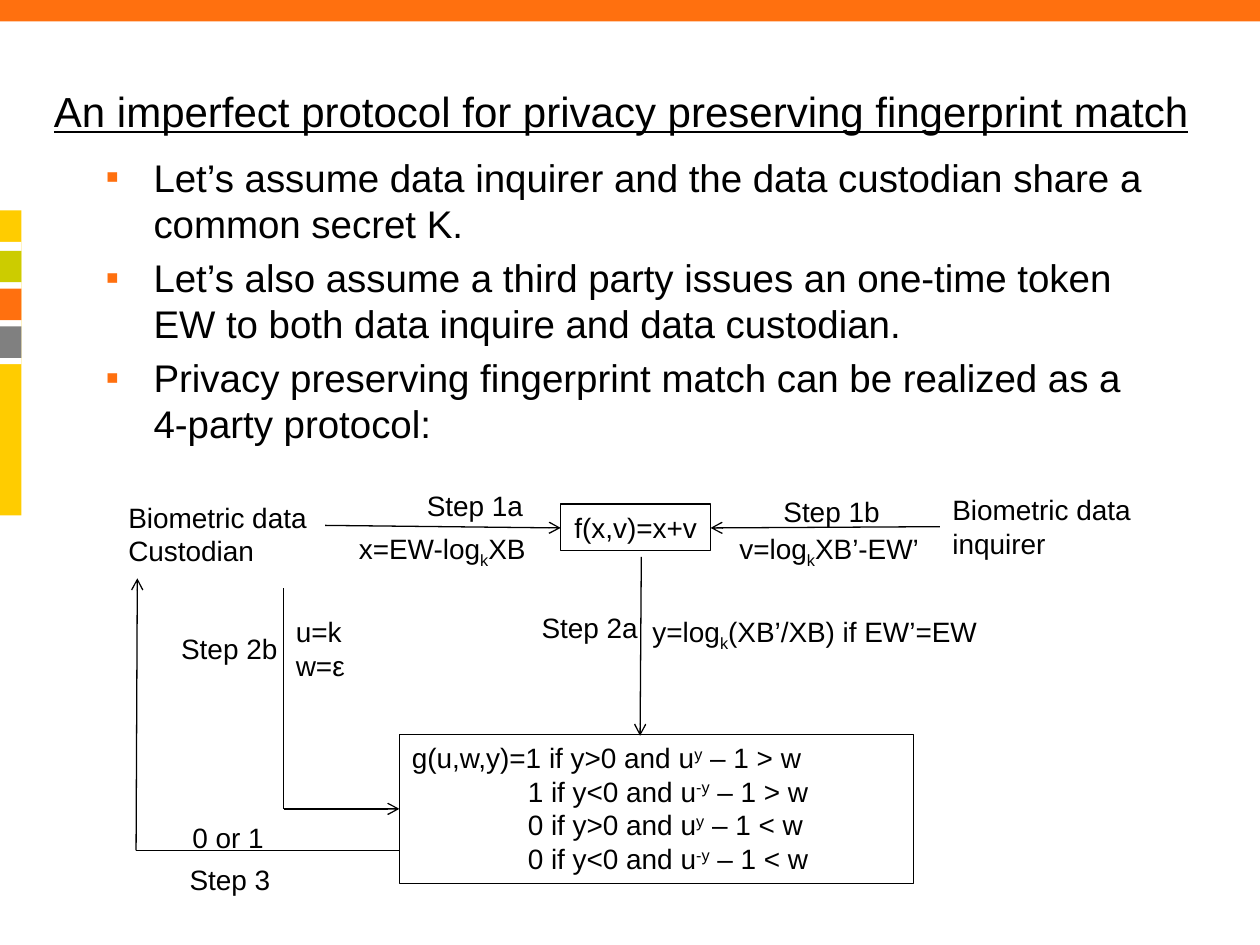
from lxml import etree
from pptx import Presentation
from pptx.dml.color import RGBColor
from pptx.enum.shapes import MSO_CONNECTOR, MSO_SHAPE
from pptx.enum.text import MSO_ANCHOR, PP_ALIGN
from pptx.oxml.ns import qn
from pptx.util import Pt

PX = 9144
RECT = MSO_SHAPE.RECTANGLE
STRAIGHT = MSO_CONNECTOR.STRAIGHT
TOP, MIDDLE = MSO_ANCHOR.TOP, MSO_ANCHOR.MIDDLE
LEFT, CENTER = PP_ALIGN.LEFT, PP_ALIGN.CENTER
COLORS = {"black": "000000", "white": "FFFFFF", "yellow": "FFCC00",
          "orange": "FF700F", "lime": "CCCC00", "gray": "808080"}
BASELINES = {"^": "30000", "_": "-25000"}


def rgb(name):
    return RGBColor.from_string(COLORS[name])


def write(tf, text, size=16, align=LEFT, anchor=TOP, wrap=True, underline=None,
          bullet=None, before=0, spacing=None, hang=0, indent=0):
    """Fill a frame; lines are paragraphs, and |^x| or |_x| raises or lowers x."""
    tf.word_wrap, tf.vertical_anchor = wrap, anchor
    for i, line in enumerate(text.split("\n")):
        p = tf.add_paragraph() if i else tf.paragraphs[0]
        p.alignment, p.space_before, p.line_spacing = align, Pt(before), spacing
        pPr = p._p.get_or_add_pPr()
        if bullet:
            pPr.set("marL", str(hang * PX))
            pPr.set("indent", str(-hang * PX))
            clr = etree.SubElement(pPr, qn("a:buClr"))
            etree.SubElement(clr, qn("a:srgbClr"), val=COLORS["orange"])
            etree.SubElement(pPr, qn("a:buFont"), typeface="Arial")
            etree.SubElement(pPr, qn("a:buChar"), char=bullet)
        elif i and indent:
            pPr.set("marL", str(indent * PX))
        for part in line.split("|"):
            r = p.add_run()
            r.text = part.lstrip("^_")
            r.font.name, r.font.size = "Arial", Pt(size)
            r.font.underline = underline
            r.font.color.rgb = rgb("black")
            if part[0] in BASELINES:
                r._r.get_or_add_rPr().set("baseline", BASELINES[part[0]])


class Slide:
    """Draws elements in one style on the current slide, in px."""

    def __init__(self, s):
        self.s = s

    def box(self, x, y, w, h, fill=None, line=None, text=None, **fmt):
        sp = self.s.shapes.add_shape(RECT, x * PX, y * PX, w * PX, h * PX)
        sp.shadow.inherit = False
        if fill:
            sp.fill.solid()
            sp.fill.fore_color.rgb = rgb(fill)
        else:
            sp.fill.background()
        if line:
            sp.line.color.rgb, sp.line.width = rgb(line), Pt(0.75)
        else:
            sp.line.fill.background()
        if text:
            write(sp.text_frame, text, **fmt)

    def text(self, x, y, w, h, text, **fmt):
        sp = self.s.shapes.add_textbox(x * PX, y * PX, w * PX, h * PX)
        write(sp.text_frame, text, **fmt)

    def line(self, x1, y1, x2, y2, arrow=True):
        c = self.s.shapes.add_connector(STRAIGHT, x1 * PX, y1 * PX, x2 * PX, y2 * PX)
        c.line.color.rgb, c.line.width = rgb("black"), Pt(0.75)
        if arrow:
            etree.SubElement(c.line._get_or_add_ln(), qn("a:tailEnd"), type="arrow")
        etree.SubElement(c._element.spPr, qn("a:effectLst"))


def main():
    prs = Presentation()
    prs.slide_width, prs.slide_height = 1000 * PX, 750 * PX
    d = Slide(prs.slides.add_slide(prs.slide_layouts[6]))

    d.box(0, 167, 17, 242, "yellow")
    d.box(0, 192, 17, 97, "white")
    d.box(0, 0, 1000, 17, "orange")
    for i, color in enumerate(("lime", "orange", "gray")):
        d.box(0, 199 + 30 * i, 17, 25, color)

    d.text(33, 42, 942, 92, "An imperfect protocol for privacy preserving fingerprint match",
           size=24, anchor=MIDDLE, underline=True)
    d.text(74, 117, 858, 250,
           "Let’s assume data inquirer and the data custodian share a common secret K.\n"
           "Let’s also assume a third party issues an one-time token EW to both data "
           "inquire and data custodian.\n"
           "Privacy preserving fingerprint match can be realized as a 4-party protocol:",
           size=22, bullet="▪", hang=38, before=4.4)

    d.text(92, 392, 167, 64, "Biometric data\nCustodian")
    d.text(746, 386, 171, 64, "Biometric data\ninquirer")
    d.box(445, 400, 119, 37, line="black", text="f(x,v)=x+v", align=CENTER, wrap=False)
    d.box(317, 583, 408, 118, line="black", indent=92,
          text="g(u,w,y)=1 if y>0 and u|^y| – 1 > w\n1 if y<0 and u|^-y| – 1 > w\n"
               "0 if y>0 and u|^y| – 1 < w\n0 if y<0 and u|^-y| – 1 < w")

    for ends in ((258, 417, 445, 419), (746, 418, 564, 419), (509, 442, 508, 584),
                 (225, 642, 317, 642), (108, 675, 109, 459)):
        d.line(*ends)
    d.line(225, 467, 225, 642, arrow=False)
    d.line(317, 675, 108, 675, arrow=False)

    for x, y, w, label in ((328, 383, 98, "Step 1a"), (611, 388, 98, "Step 1b"),
                           (419, 480, 98, "Step 2a"), (133, 496, 98, "Step 2b"),
                           (140, 680, 85, "Step 3"), (142, 646, 78, "0 or 1")):
        d.text(x, y, w, 37, label, align=CENTER, wrap=False)
    d.text(508, 483, 292, 37, "y=log|_k|(XB’/XB) if EW’=EW")
    d.text(225, 483, 67, 64, "u=k\nw=ε")
    d.text(275, 417, 155, 37, "x=EW-log|_k|XB", wrap=False)
    d.text(577, 417, 165, 37, "v=log|_k|XB’-EW’", wrap=False)

    prs.save("out.pptx")


if __name__ == "__main__":
    main()
